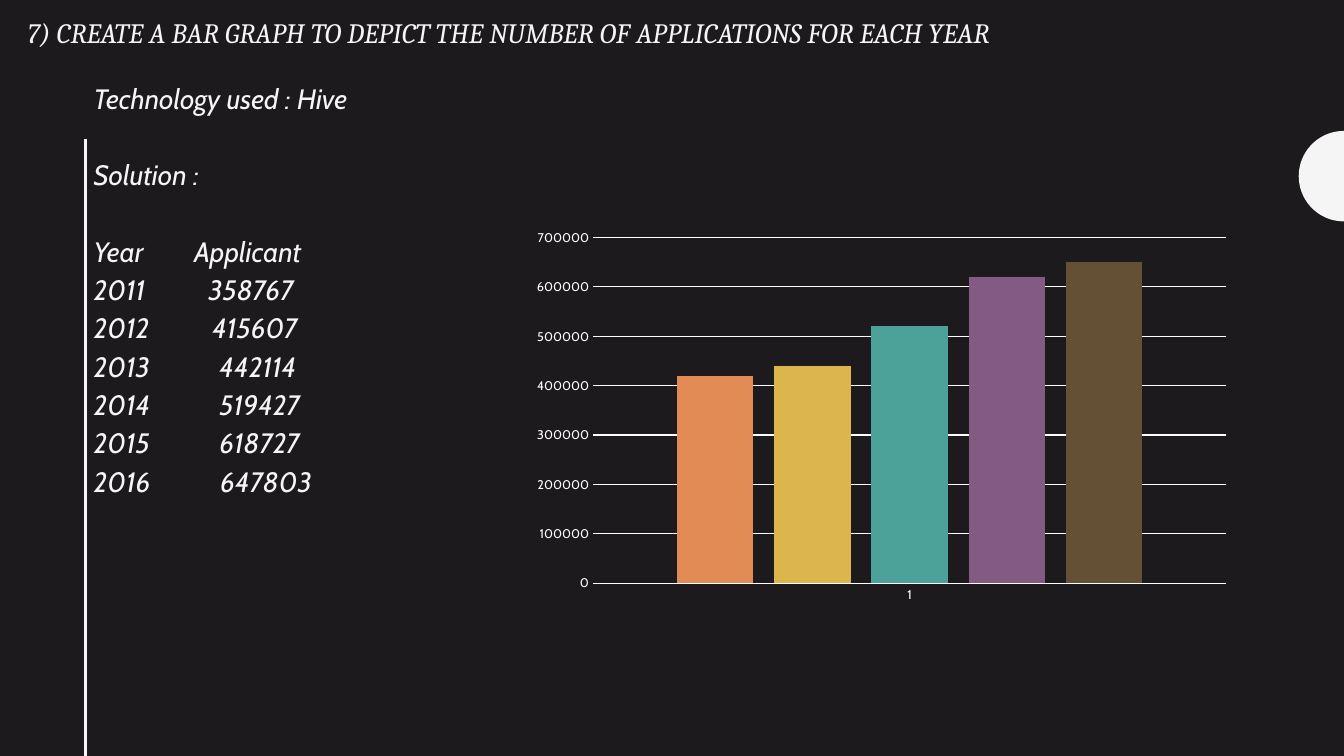
import math
from lxml import etree
from pptx import Presentation
from pptx.chart.data import CategoryChartData
from pptx.dml.color import RGBColor
from pptx.enum.chart import XL_CHART_TYPE, XL_TICK_MARK
from pptx.enum.shapes import MSO_CONNECTOR
from pptx.enum.text import MSO_ANCHOR
from pptx.oxml import parse_xml
from pptx.oxml.ns import nsdecls, qn
from pptx.util import Cm, Pt

COLUMN = XL_CHART_TYPE.COLUMN_CLUSTERED
NO_TICK = XL_TICK_MARK.NONE
STRAIGHT = MSO_CONNECTOR.STRAIGHT
TOP = MSO_ANCHOR.TOP

DARK = RGBColor(0x1D, 0x1A, 0x1D)
LIGHT = RGBColor(0xF5, 0xF5, 0xF5)
WHITE = RGBColor(0xFF, 0xFF, 0xFF)
ORANGE = RGBColor(0xE2, 0x8B, 0x55)
YELLOW = RGBColor(0xDC, 0xB6, 0x4D)
TEAL = RGBColor(0x4C, 0xA1, 0x98)
PURPLE = RGBColor(0x83, 0x5B, 0x82)
BROWN = RGBColor(0x64, 0x51, 0x35)

TITLE = "7) CREATE A BAR GRAPH TO DEPICT THE NUMBER OF APPLICATIONS FOR EACH YEAR"
HEADINGS = ["Technology used : Hive", "Solution :"]
COLUMNS = ("Year", "Applicant", 2.53)
APPLICANTS = [
    ("2011", 358767, 2.89),
    ("2012", 415607, 2.99),
    ("2013", 442114, 3.17),
    ("2014", 519427, 3.17),
    ("2015", 618727, 3.17),
    ("2016", 647803, 3.19),
]
BAR_COLORS = [ORANGE, YELLOW, TEAL, PURPLE, BROWN]
PLOT = {"x": 0.148, "y": 0.028, "w": 0.852, "h": 0.842}
LINE_GAP = Pt(27.4)

prs = Presentation()
prs.slide_width, prs.slide_height = Cm(33.87), Cm(19.05)
s = prs.slides.add_slide(prs.slide_layouts[6])
s.background.fill.solid()
s.background.fill.fore_color.rgb = DARK


def add_box(x, y, w, h):
    tf = s.shapes.add_textbox(Cm(x), Cm(y), Cm(w), Cm(h)).text_frame
    tf.word_wrap = True
    tf.vertical_anchor = TOP
    return tf


def add_line(p, text, font, spacing):
    p.line_spacing = spacing
    r = p.add_run()
    r.text = text
    r.font.name, r.font.size, r.font.italic = font, Pt(20), True
    r.font.color.rgb = LIGHT


def add_half_disc(cx, cy, radius, steps=40):
    angles = [math.pi * (0.5 + i / steps) for i in range(steps + 1)]
    points = [(Cm(cx + radius * math.cos(a)), Cm(cy - radius * math.sin(a)))
              for a in angles]
    builder = s.shapes.build_freeform(*points[0])
    builder.add_line_segments(points[1:], close=True)
    sp = builder.convert_to_shape()
    sp.shadow.inherit = False
    sp.fill.solid()
    sp.fill.fore_color.rgb = LIGHT
    sp.line.fill.background()


def style_axis(axis):
    axis.major_tick_mark = axis.minor_tick_mark = NO_TICK
    font = axis.tick_labels.font
    font.size, font.name = Pt(9), "Cabin"
    font.color.rgb = WHITE


def style_line(line):
    line.color.rgb = WHITE
    line.width = Pt(0.75)


add_half_disc(33.87, 4.44, 1.14)

rule = s.shapes.add_connector(STRAIGHT, Cm(2.16), Cm(3.5), Cm(2.16), Cm(19.05))
rule.line.color.rgb = LIGHT
rule.line.width = Pt(2)
etree.SubElement(rule.element.spPr, qn("a:effectLst"))

add_line(add_box(0.45, 0.39, 33.05, 1.32).paragraphs[0], TITLE, "Cambria", 0.85)

tf = add_box(2.11, 1.8, 30.78, 16.87)
rows = [(text, None) for text in HEADINGS]
rows += [(f"{year}\t{count}", stop) for year, count, stop in [COLUMNS] + APPLICANTS]
for i, (text, stop) in enumerate(rows):
    p = tf.paragraphs[0] if i == 0 else tf.add_paragraph()
    add_line(p, text, "Cabin", 1.14)
    if 1 <= i <= len(HEADINGS):
        p.space_before = LINE_GAP
    if stop:
        tabs = etree.SubElement(p._p.get_or_add_pPr(), qn("a:tabLst"))
        etree.SubElement(tabs, qn("a:tab"), pos=str(Cm(stop)), algn="l")

data = CategoryChartData()
data.categories = ["1"]
for n, (year, count, stop) in enumerate(APPLICANTS[1:], 1):
    data.add_series(f"Series {n}", [round(count, -4)])
chart = s.shapes.add_chart(COLUMN, Cm(12.17), Cm(5.7), Cm(18.75), Cm(10.34), data).chart
chart.has_title = chart.has_legend = False
chart.font.size, chart.font.name = Pt(10), "Cabin"
chart.font.color.rgb = WHITE
plot = chart.plots[0]
plot.gap_width, plot.overlap, plot.vary_by_categories = 219, -27, False
for series, color in zip(plot.series, BAR_COLORS):
    series.format.fill.solid()
    series.format.fill.fore_color.rgb = color

style_axis(chart.category_axis)
style_line(chart.category_axis.format.line)
values = chart.value_axis
style_axis(values)
values.format.line.fill.background()
values.has_major_gridlines = True
style_line(values.major_gridlines.format.line)
values.minimum_scale, values.maximum_scale, values.major_unit = 0, 700000, 100000
values.tick_labels.number_format = "0"
values.tick_labels.number_format_is_linked = False

area = chart.element.find(".//" + qn("c:plotArea"))
for old in area.findall(qn("c:layout")):
    area.remove(old)
modes = "".join(f'<c:{k}Mode val="edge"/>' for k in "xy")
sizes = "".join(f'<c:{k} val="{v}"/>' for k, v in PLOT.items())
area.insert(0, parse_xml(
    f'<c:layout {nsdecls("c")}><c:manualLayout><c:layoutTarget val="inner"/>'
    f"{modes}{sizes}</c:manualLayout></c:layout>"))

prs.save("out.pptx")
